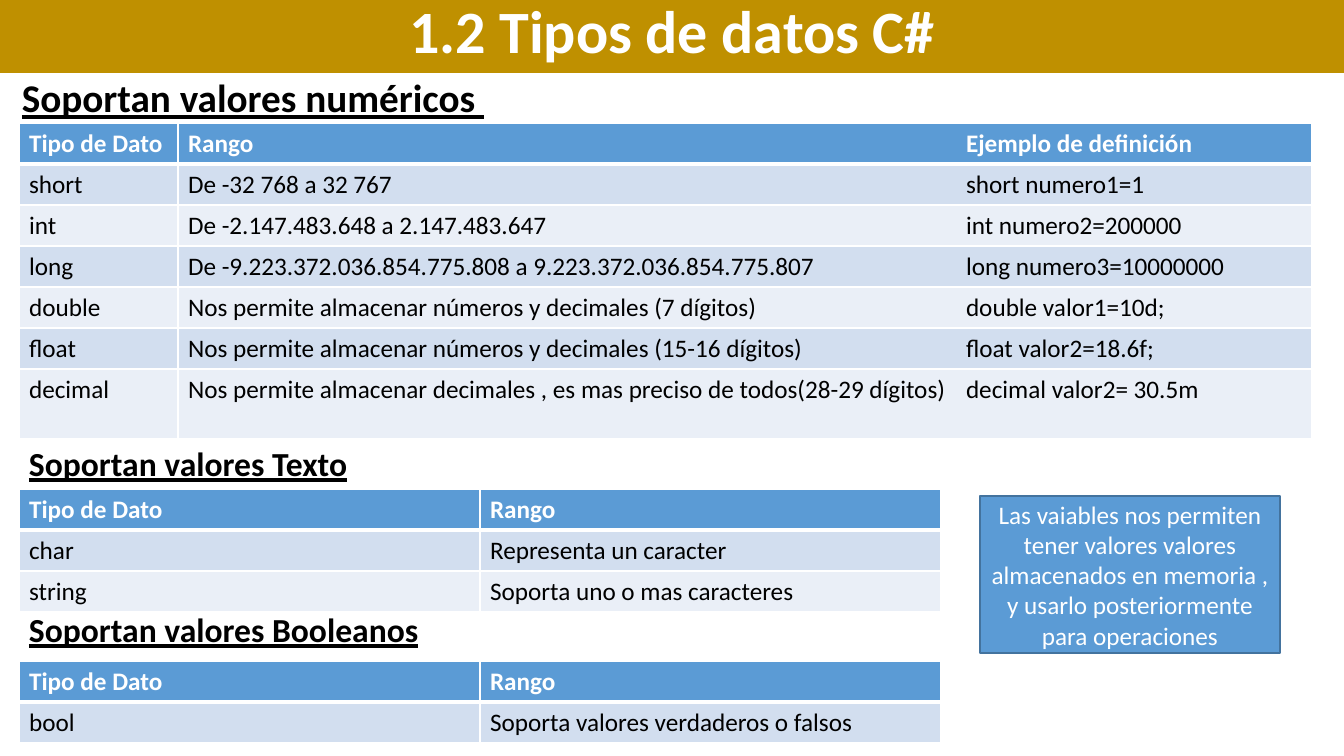
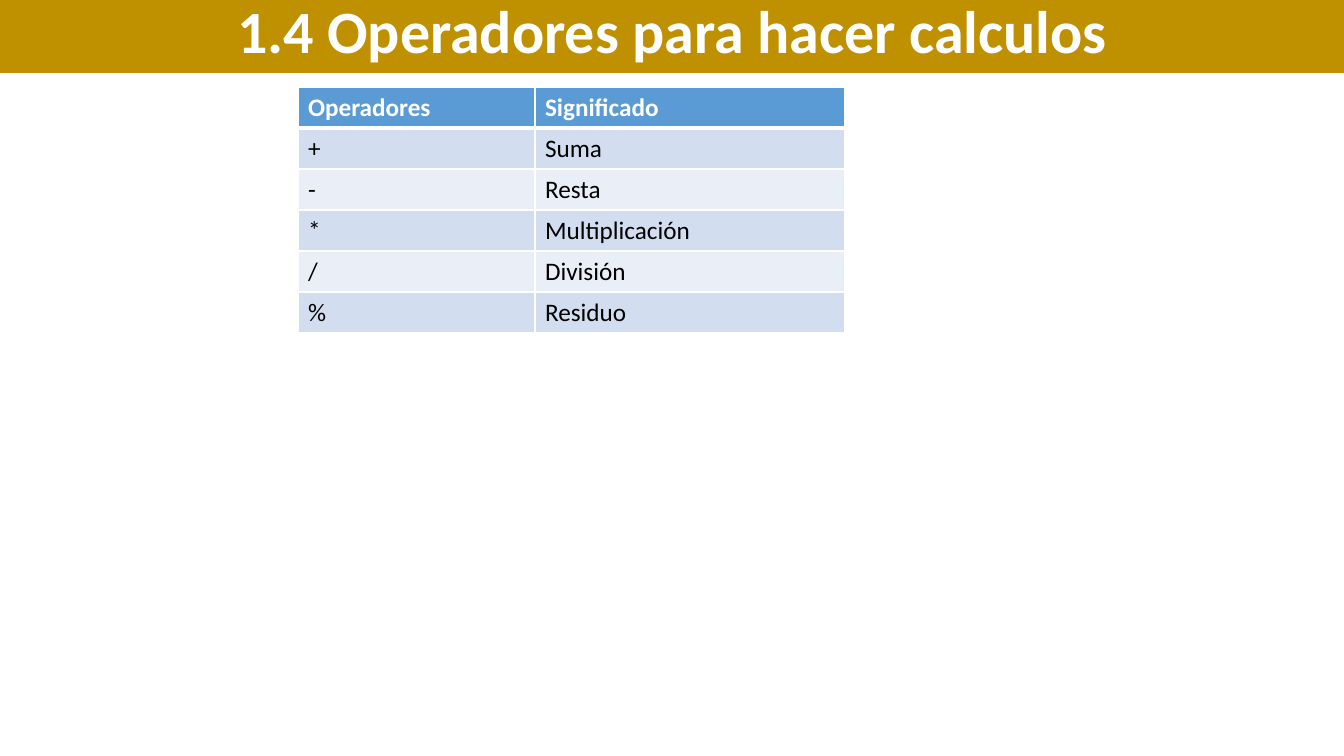
from pptx import Presentation
from pptx.dml.color import RGBColor
from pptx.enum.shapes import MSO_SHAPE
from pptx.enum.text import MSO_ANCHOR, PP_ALIGN
from pptx.oxml import parse_xml
from pptx.oxml.ns import nsdecls
from pptx.util import Emu, Pt

RECT = MSO_SHAPE.RECTANGLE
TOP, MIDDLE = MSO_ANCHOR.TOP, MSO_ANCHOR.MIDDLE
LEFT, CENTER = PP_ALIGN.LEFT, PP_ALIGN.CENTER

GOLD = RGBColor(0xBF, 0x90, 0x00)
BLUE = RGBColor(0x5B, 0x9B, 0xD5)
EDGE = RGBColor(0x43, 0x73, 0x9E)
BANDS = RGBColor(0xD2, 0xDE, 0xEF), RGBColor(0xEA, 0xEF, 0xF7)
WHITE = RGBColor(0xFF, 0xFF, 0xFF)
BLACK = RGBColor(0, 0, 0)

FONT = "Calibri"
WIDTH, HEIGHT = 1344, 756
ROW = 41
STOP = 778  # tab stop of the examples, from the left of the cell text

TITLE = dict(size=Pt(42.9), bold=True)
HEAD = dict(size=Pt(24), bold=True, underline=True)
BIG = dict(HEAD, size=Pt(28))
BODY = dict(size=Pt(18))

NUMBERS = [
    ("Tipo de Dato", "Rango\tEjemplo de definición"),
    ("short", "De -32 768 a 32 767\tshort numero1=1"),
    ("int", "De -2.147.483.648 a 2.147.483.647\tint numero2=200000"),
    ("long", "De -9.223.372.036.854.775.808 a 9.223.372.036.854.775.807"
             "\tlong numero3=10000000"),
    ("double", "Nos permite almacenar números y decimales (7 dígitos)"
               "\tdouble valor1=10d;"),
    ("float", "Nos permite almacenar números y decimales (15-16 dígitos)"
              "\tfloat valor2=18.6f;"),
    ("decimal", "Nos permite almacenar decimales , es mas preciso de "
                "todos(28-29 dígitos)\tdecimal valor2= 30.5m"),
]
TEXTS = [
    ("Tipo de Dato", "Rango"),
    ("char", "Representa un caracter"),
    ("string", "Soporta uno o mas caracteres"),
]
BOOLS = [
    ("Tipo de Dato", "Rango"),
    ("bool", "Soporta valores verdaderos o falsos"),
]
SIGNS = [
    ("Operadores", "Significado"),
    ("+", "Suma"),
    ("-", "Resta"),
    ("*", "Multiplicación"),
    ("/", "División"),
    ("%", "Residuo"),
]
NOTE = ("Las vaiables nos permiten tener valores valores almacenados "
        "en memoria , y usarlo posteriormente para operaciones")

# Boxes are left, top, width, height; tables are left, top, columns,
# last row height, rows.
SLIDES = [
    dict(
        title="1.2 Tipos de datos C#",
        heads=[
            ("Soportan valores numéricos ", (12, 74, 1308, 50), BIG, 0.9),
            ("Soportan valores Texto", (19, 438, 340, 47), HEAD, 1.0),
            ("Soportan valores Booleanos", (19, 604, 413, 47), HEAD, 1.0),
        ],
        tables=[
            (19, 123, (159, 1134), 70, NUMBERS),
            (19, 489, (461, 461), ROW, TEXTS),
            (19, 661, (461, 461), ROW, BOOLS),
        ],
        notes=[(NOTE, (980, 496, 300, 157))],
    ),
    dict(
        title="1.4 Operadores para hacer calculos",
        heads=[],
        tables=[(298, 87, (237, 310), ROW, SIGNS)],
        notes=[],
    ),
]


def px(n):
    return Emu(round(n * 914400 / 100.8))


def write(frame, text, style, color, align=LEFT, anchor=TOP, space=1.0):
    frame.word_wrap = True
    frame.vertical_anchor = anchor
    para = frame.paragraphs[0]
    para.alignment = align
    para.line_spacing = space
    run = para.add_run()
    run.text = text
    for key, value in dict(style, name=FONT).items():
        setattr(run.font, key, value)
    run.font.color.rgb = color
    return para


def add_box(slide, box, fill, edge=None):
    shape = slide.shapes.add_shape(RECT, *map(px, box))
    shape.shadow.inherit = False
    shape.fill.solid()
    shape.fill.fore_color.rgb = fill
    if edge is None:
        shape.line.fill.background()
    else:
        shape.line.color.rgb = edge
        shape.line.width = Pt(1)
    return shape.text_frame


def add_borders(cell, top, bottom):
    props = cell._tc.get_or_add_tcPr()
    for side, width in (("L", 1), ("R", 1), ("T", top), ("B", bottom)):
        props.append(parse_xml(
            f'<a:ln{side} {nsdecls("a")} w="{Pt(width)}"><a:solidFill>'
            f'<a:srgbClr val="{WHITE}"/></a:solidFill></a:ln{side}>'))


def add_stop(para):
    para._p.get_or_add_pPr().append(parse_xml(
        f'<a:tabLst {nsdecls("a")}><a:tab pos="{px(STOP)}" algn="l"/>'
        '</a:tabLst>'))


def add_grid(slide, left, top, cols, last, rows):
    heights = [ROW] * (len(rows) - 1) + [last]
    frame = slide.shapes.add_table(
        len(rows), len(cols), px(left), px(top),
        px(sum(cols)), px(sum(heights)))
    table = frame.table
    for col, width in zip(table.columns, cols):
        col.width = px(width)
    for r, (row, height) in enumerate(zip(rows, heights)):
        table.rows[r].height = px(height)
        head = r == 0
        for c, text in enumerate(row):
            cell = table.cell(r, c)
            add_borders(cell, 3 if r == 1 else 1, 3 if head else 1)
            cell.fill.solid()
            cell.fill.fore_color.rgb = BLUE if head else BANDS[(r - 1) % 2]
            para = write(cell.text_frame, text, dict(BODY, bold=head),
                         WHITE if head else BLACK)
            if "\t" in text:
                add_stop(para)


def main():
    deck = Presentation()
    deck.slide_width, deck.slide_height = px(WIDTH), px(HEIGHT)
    for data in SLIDES:
        slide = deck.slides.add_slide(deck.slide_layouts[6])
        band = add_box(slide, (0, 0, WIDTH, 73), GOLD)
        write(band, data["title"], TITLE, WHITE, CENTER, MIDDLE, 0.8)
        for text, box, style, space in data["heads"]:
            frame = slide.shapes.add_textbox(*map(px, box)).text_frame
            write(frame, text, style, BLACK, space=space)
            frame.word_wrap = False
        for table in data["tables"]:
            add_grid(slide, *table)
        for text, box in data["notes"]:
            frame = add_box(slide, box, BLUE, EDGE)
            write(frame, text, BODY, WHITE, CENTER, MIDDLE)
    deck.save("out.pptx")


if __name__ == "__main__":
    main()
